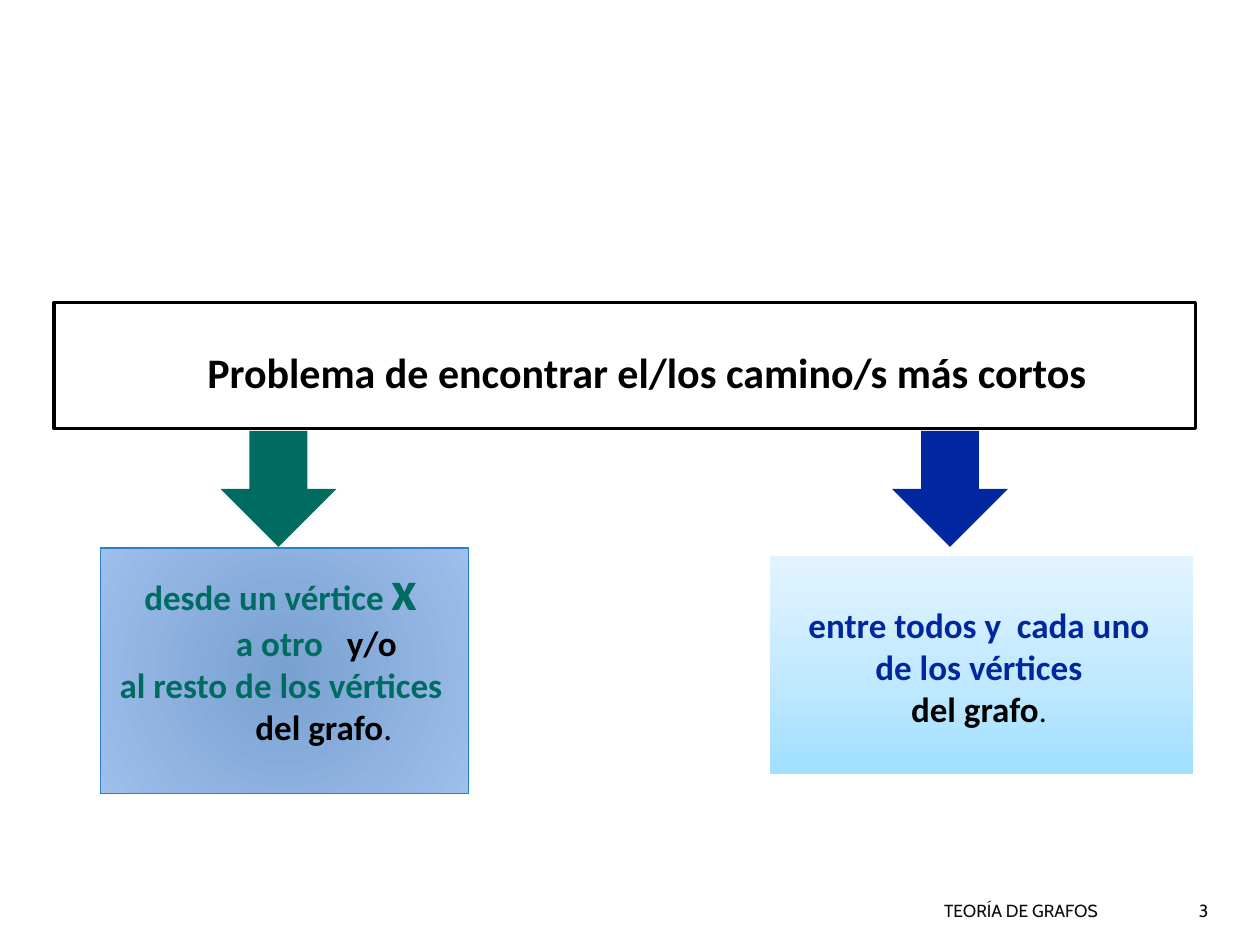
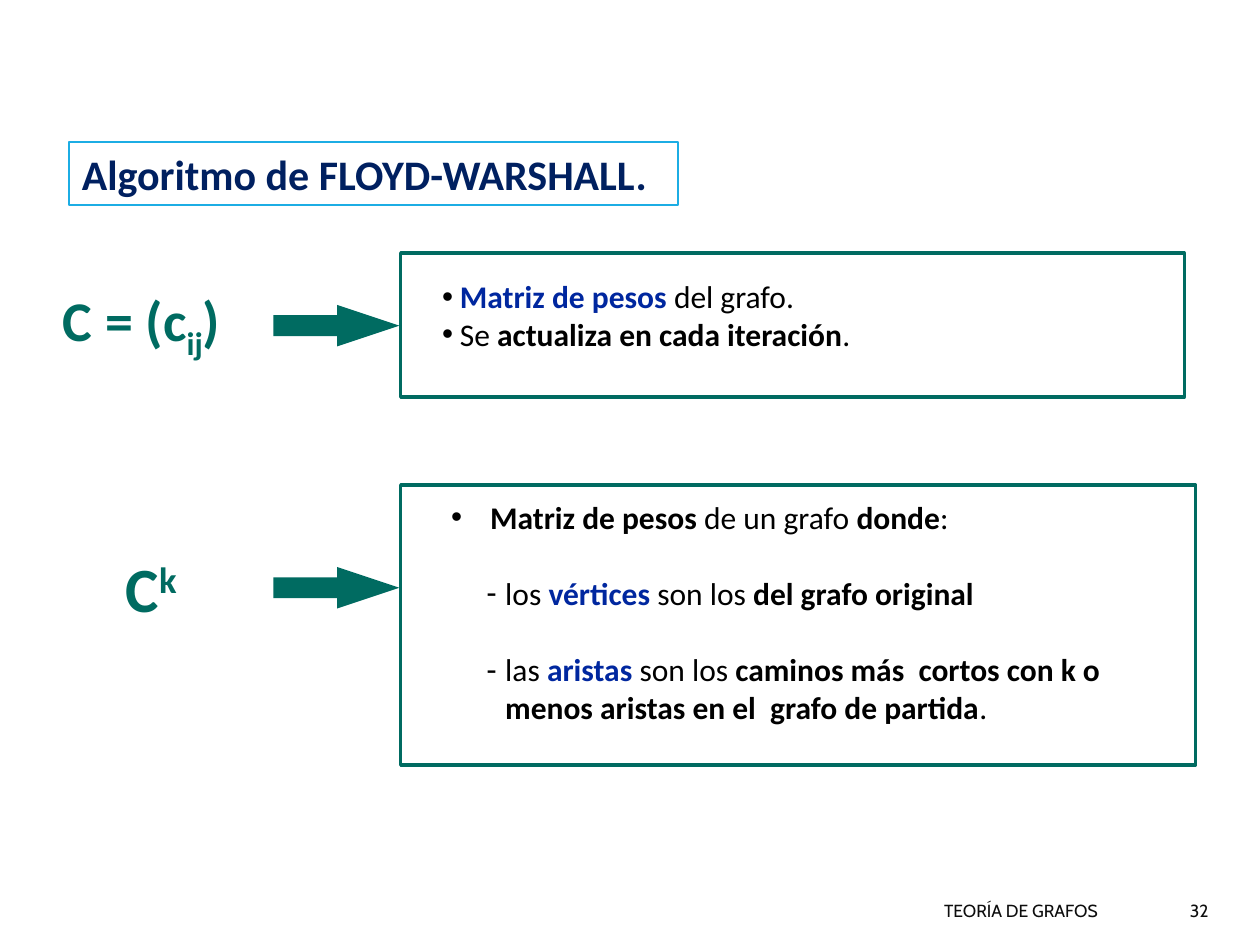
from dataclasses import dataclass, field

from pptx import Presentation
from pptx.dml.color import RGBColor
from pptx.enum.shapes import MSO_SHAPE
from pptx.enum.text import MSO_ANCHOR, MSO_AUTO_SIZE, PP_ALIGN
from pptx.oxml import parse_xml
from pptx.oxml.ns import nsdecls, qn
from pptx.util import Emu, Pt

PX = 9144  # 100 px to the inch
LEFT, CENTER, RIGHT = PP_ALIGN.LEFT, PP_ALIGN.CENTER, PP_ALIGN.RIGHT
TOP, MIDDLE = MSO_ANCHOR.TOP, MSO_ANCHOR.MIDDLE
RECTANGLE = MSO_SHAPE.RECTANGLE
DOWN_ARROW, RIGHT_ARROW = MSO_SHAPE.DOWN_ARROW, MSO_SHAPE.RIGHT_ARROW
TWO_CONTENT, TITLE_ONLY = 3, 5
COLORS = {
    "black": "000000", "white": "FFFFFF", "footer": "0D0D0D",
    "green": "006B61", "blue": "00279F", "navy": "002060",
    "sky": "1CADE4", "steel": "2683C6",
}
RADIAL_STOPS = [(0, "79A1D1"), (100, "9EBEEB")]
RADIAL = ('<a:path path="circle"><a:fillToRect l="100000" t="100000" '
          'r="100000" b="100000"/></a:path>')
UPWARD_STOPS = [(0, "A0DFFF"), (50, "C5EAFF"), (100, "E3F4FF")]
UPWARD = '<a:lin ang="16200000" scaled="1"/>'
MARGINS = (10, 5, 10, 5)


@dataclass
class Span:
    """A stretch of text; extra holds run attributes such as baseline."""
    text: str
    color: str = "black"
    bold: bool = True
    size: int = 0
    extra: dict = field(default_factory=dict)


@dataclass
class Para:
    spans: list
    left: int = 0
    hang: int = 0
    bullet: str = ""
    before: int = 0


def px(length):
    return Emu(length * PX)


def rgb(name):
    return RGBColor.from_string(COLORS[name])


def place(shape, area):
    shape.left, shape.top, shape.width, shape.height = map(px, area)


def format_paragraph(paragraph, para):
    paragraph.line_spacing = 1.0
    paragraph.space_before = Pt(para.before)
    properties = paragraph._p.get_or_add_pPr()
    properties.set("marL", str(px(para.left)))
    properties.set("indent", str(px(-para.hang)))
    if para.bullet:
        for markup in (
            f'<a:buClr {nsdecls("a")}><a:srgbClr val="{COLORS["black"]}"/></a:buClr>',
            f'<a:buFont {nsdecls("a")} typeface="Arial"/>',
            f'<a:buChar {nsdecls("a")} char="{para.bullet}"/>',
        ):
            properties.append(parse_xml(markup))


def write(shape, paras, size, font="Calibri", align=LEFT, anchor=TOP,
          margins=MARGINS, wrap=True):
    frame = shape.text_frame
    frame.auto_size = MSO_AUTO_SIZE.NONE
    frame.word_wrap = wrap
    frame.vertical_anchor = anchor
    (frame.margin_left, frame.margin_top,
     frame.margin_right, frame.margin_bottom) = map(px, margins)
    for number, para in enumerate(paras):
        paragraph = frame.add_paragraph() if number else frame.paragraphs[0]
        paragraph.alignment = align
        format_paragraph(paragraph, para)
        for span in para.spans:
            run = paragraph.add_run()
            run.text = span.text
            run.font.name = font
            run.font.size = Pt(span.size or size)
            run.font.bold = span.bold
            run.font.color.rgb = rgb(span.color)
            for name, value in span.extra.items():
                run._r.get_or_add_rPr().set(name, value)


def outline(shape, color, width):
    shape.line.color.rgb = rgb(color)
    shape.line.width = Pt(width)


def add_text(page, area, paras, size, **options):
    box = page.shapes.add_textbox(*map(px, area))
    write(box, paras, size, **options)


def add_arrow(page, kind, area, color, head):
    """Head is the length of the arrowhead relative to the short side."""
    arrow = page.shapes.add_shape(kind, *map(px, area))
    arrow.shadow.inherit = False
    arrow.adjustments[0], arrow.adjustments[1] = 0.5, head
    arrow.fill.solid()
    arrow.fill.fore_color.rgb = rgb(color)
    arrow.line.fill.background()


def add_gradient_box(page, area, stops, direction, line_color, line_width):
    box = page.shapes.add_shape(RECTANGLE, *map(px, area))
    box.shadow.inherit = False
    outline(box, line_color, line_width)
    box.fill.gradient()
    marks = "".join(f'<a:gs pos="{position * 1000}"><a:srgbClr val="{color}"/></a:gs>'
                    for position, color in stops)
    gradient = parse_xml(f'<a:gradFill {nsdecls("a")} rotWithShape="1">'
                         f'<a:gsLst>{marks}</a:gsLst>{direction}</a:gradFill>')
    properties = box._element.spPr
    properties.replace(properties.find(qn("a:gradFill")), gradient)
    return box


def fill_placeholder(holder, area, paras, size, line, **options):
    place(holder, area)
    outline(holder, *line)
    write(holder, paras, size, **options)


def add_footer(page, number):
    for area, text in (((397, 708, 484, 30), "TEORÍA DE GRAFOS"),
                       ((889, 708, 80, 30), number)):
        add_text(page, area, [Para([Span(text, "footer", False)])], 10,
                 font="Cabin", align=RIGHT, anchor=MIDDLE)


def build_problem_page(deck):
    page = deck.slides.add_slide(deck.slide_layouts[TITLE_ONLY])
    problem = [Para([Span("Problema de encontrar el/los camino/s más cortos")])]
    fill_placeholder(page.shapes.title, (43, 240, 906, 100), problem, 24,
                     ("black", 2), align=CENTER, margins=(45, 35, 10, 5))

    for left, color in ((175, "green"), (708, "blue")):
        add_arrow(page, DOWN_ARROW, (left, 342, 92, 92), color, 0.5)

    one_vertex = add_gradient_box(page, (80, 435, 292, 195), RADIAL_STOPS, RADIAL,
                                  "steel", 0.75)
    write(one_vertex, [
        Para([Span("desde un vértice ", "green"), Span("x", "green", size=32)]),
        Para([Span("a otro", "green"), Span(" ", extra={"spc": "900"}), Span("y/o")],
             left=56),
        Para([Span("al resto de los vértices", "green")]),
        Para([Span("del grafo"), Span(".", bold=False)], left=68),
    ], 20, align=CENTER, margins=(5, 5, 11, 5))

    all_vertices = add_gradient_box(page, (610, 440, 338, 175), UPWARD_STOPS, UPWARD,
                                    "white", 1.5)
    write(all_vertices, [
        Para([Span("entre todos y  cada uno", "blue")]),
        Para([Span("de los vértices", "blue")]),
        Para([Span("del grafo"), Span(".", bold=False, size=18)]),
    ], 20, align=CENTER, margins=(10, 39, 14, 5))
    add_footer(page, "3")


def build_floyd_page(deck):
    page = deck.slides.add_slide(deck.slide_layouts[TWO_CONTENT])
    title = page.shapes.title
    title.fill.solid()
    title.fill.fore_color.rgb = rgb("white")
    fill_placeholder(title, (55, 113, 483, 50),
                     [Para([Span("Algoritmo de FLOYD-WARSHALL.", "navy")])], 24,
                     ("sky", 1.25), wrap=False)

    add_text(page, (40, 222, 167, 63), [Para([
        Span("C = (c", "green"),
        Span("ij", "green", extra={"baseline": "-25000"}),
        Span(")", "green"),
    ])], 32, wrap=False)
    add_text(page, (90, 431, 67, 70), [Para([
        Span("C", "green"), Span("k", "green", extra={"baseline": "30000"}),
    ])], 36, wrap=False)
    for top in (242, 450):
        add_arrow(page, RIGHT_ARROW, (217, top, 100, 33), "green", 1.5)

    weights = [
        Para([Span("Matriz de pesos ", "blue"), Span("del grafo.", bold=False)],
             14, 14, "•"),
        Para([Span("Se ", bold=False), Span("actualiza en cada iteración"),
              Span(".", bold=False)], 14, 14, "•"),
    ]
    powers = [
        Para([Span("Matriz de pesos "), Span("de un grafo ", bold=False),
              Span("donde"), Span(":", bold=False)], 31, 31, "•"),
        Para([Span("los ", bold=False), Span("vértices", "blue"),
              Span(" son los ", bold=False), Span("del grafo original")],
             43, 15, "-", 22),
        Para([Span("las ", bold=False), Span("aristas", "blue"),
              Span(" son los ", bold=False),
              Span("caminos más  cortos con k o menos aristas en el  grafo de partida"),
              Span(".", bold=False)], 43, 15, "-", 22),
    ]
    fill_placeholder(page.placeholders[1], (318, 201, 622, 114), weights, 18,
                     ("green", 2), margins=(33, 19, 10, 5))
    fill_placeholder(page.placeholders[2], (318, 385, 631, 222), powers, 18,
                     ("green", 2), margins=(40, 10, 30, 5))
    add_footer(page, "32")


def main():
    deck = Presentation()
    deck.slide_width, deck.slide_height = px(1000), px(750)
    build_problem_page(deck)
    build_floyd_page(deck)
    deck.save("out.pptx")


if __name__ == "__main__":
    main()
